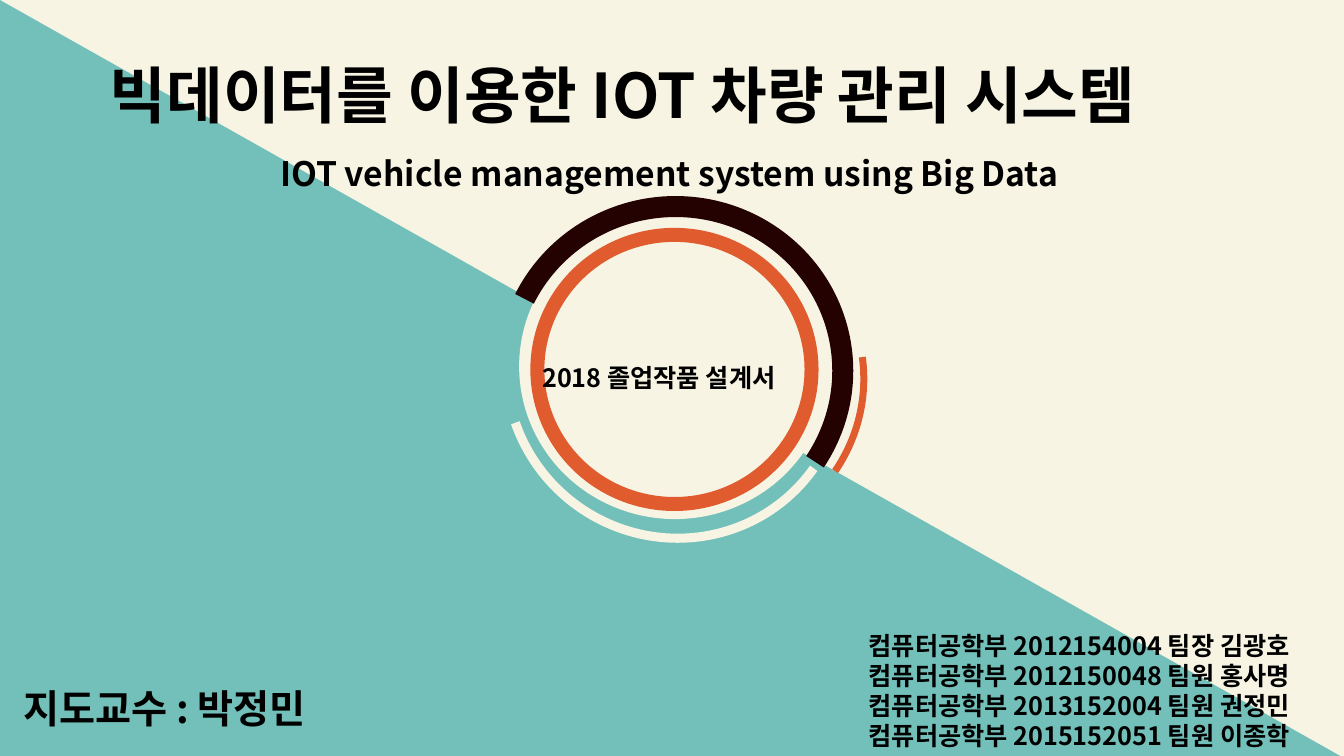
from pptx import Presentation
from pptx.dml.color import RGBColor
from pptx.enum.shapes import MSO_SHAPE
from pptx.enum.text import MSO_ANCHOR, MSO_AUTO_SIZE, PP_ALIGN
from pptx.oxml.ns import qn
from pptx.util import Inches, Pt
from lxml.etree import SubElement

COLORS = {"cream": "F7F4E3", "teal": "73C0BA", "orange": "E05B2E",
          "brown": "240202", "text": "000000"}
FONT = "Noto Sans CJK KR"
TEAM = [("2012154004", "팀장 김광호"), ("2012150048", "팀원 홍사명"),
        ("2013152004", "팀원 권정민"), ("2015152051", "팀원 이종학")]


def color(name):
    return RGBColor.from_string(COLORS[name])


class CoverSlide:
    """Boxes are (left, top, width, height) in percent of the slide."""

    def __init__(self, prs):
        self.prs = prs
        self.s = prs.slides.add_slide(prs.slide_layouts[0])
        self.s.background.fill.solid()
        self.s.background.fill.fore_color.rgb = color("cream")

    def place(self, box):
        w, h = self.prs.slide_width, self.prs.slide_height
        return [int(share * size / 100) for share, size in zip(box, (w, h, w, h))]

    def shape(self, kind, box, fill=None, line=None, width=0, parent=None):
        sp = (parent or self.s).shapes.add_shape(kind, *self.place(box))
        sp.shadow.inherit = False
        if fill:
            sp.fill.solid()
            sp.fill.fore_color.rgb = color(fill)
        else:
            sp.fill.background()
        if line:
            sp.line.color.rgb = color(line)
            sp.line.width = Pt(width)
        else:
            sp.line.fill.background()
        return sp

    def arc(self, box, start, end, rotation, line, width, parent):
        sp = self.shape(MSO_SHAPE.ARC, box, None, line, width, parent)
        # Angles are stored in 1/60000 degree, adjustments in 1/100000
        for i, angle in enumerate((start, end)):
            sp.adjustments[i] = angle * 0.6
        sp.rotation = rotation

    def text(self, box, lines, size, align=PP_ALIGN.LEFT, wrap=True, holder=None):
        sp = holder or self.s.shapes.add_textbox(*self.place(box))
        sp.left, sp.top, sp.width, sp.height = self.place(box)
        sp.element.getparent().append(sp.element)  # bring to front
        tf = sp.text_frame
        tf.word_wrap = wrap
        tf.auto_size = MSO_AUTO_SIZE.SHAPE_TO_FIT_TEXT
        tf.vertical_anchor = MSO_ANCHOR.TOP
        for i, line in enumerate(lines):
            p = tf.add_paragraph() if i else tf.paragraphs[0]
            p.alignment = align
            p.space_before = Pt(0)
            r = p.add_run()
            r.text = line
            r.font.size = Pt(size)
            r.font.bold = True
            r.font.color.rgb = color("text")
            r.font.name = FONT
            SubElement(r.font._element, qn("a:ea")).set("typeface", FONT)


def main():
    prs = Presentation()
    prs.slide_width, prs.slide_height = Inches(13.33), Inches(7.5)
    cover = CoverSlide(prs)
    title, subtitle = cover.s.placeholders

    # Diagonal background
    triangle = cover.shape(MSO_SHAPE.ISOSCELES_TRIANGLE, (0, 0, 100, 100.27), "teal")
    triangle.adjustments[0] = 0

    # Ring emblem
    emblem = cover.s.shapes.add_group_shape()
    cover.shape(MSO_SHAPE.OVAL, (38.63, 28.27, 23.18, 40.4), "cream", parent=emblem)
    cover.shape(MSO_SHAPE.OVAL, (39.98, 31.07, 20.4, 35.6), "cream", "orange", 10, emblem)
    cover.arc((37.8, 26.53, 24.83, 44.93), 270, 36.63, 125.2, "cream", 6.5, emblem)
    cover.arc((37.73, 27.33, 24.98, 43.6), 211.55, 38.64, 354.2, "brown", 15, emblem)
    cover.arc((38.33, 28.13, 25.95, 44.27), 357.04, 36.63, 355.4, "orange", 5, emblem)

    # Titles
    cover.text((7.43, 6.8, 87.53, 11.2), ["빅데이터를 이용한 IOT 차량 관리 시스템"], 44,
               PP_ALIGN.JUSTIFY, holder=title)
    cover.text((20.1, 19.6, 59.48, 6.67), ["IOT vehicle management system using Big Data"],
               24, PP_ALIGN.JUSTIFY, wrap=False, holder=subtitle)

    # Emblem caption, advisor and team
    cover.text((39.6, 47.33, 20.7, 5.33), ["2018 졸업작품 설계서"], 18, wrap=False)
    cover.text((0.98, 89.87, 38.25, 7.6), ["지도교수 : 박정민"], 28)
    cover.text((63.9, 82.67, 36.15, 17.47),
               [f"컴퓨터공학부 {number} {member}" for number, member in TEAM],
               18, PP_ALIGN.JUSTIFY)

    prs.save("out.pptx")


if __name__ == "__main__":
    main()
